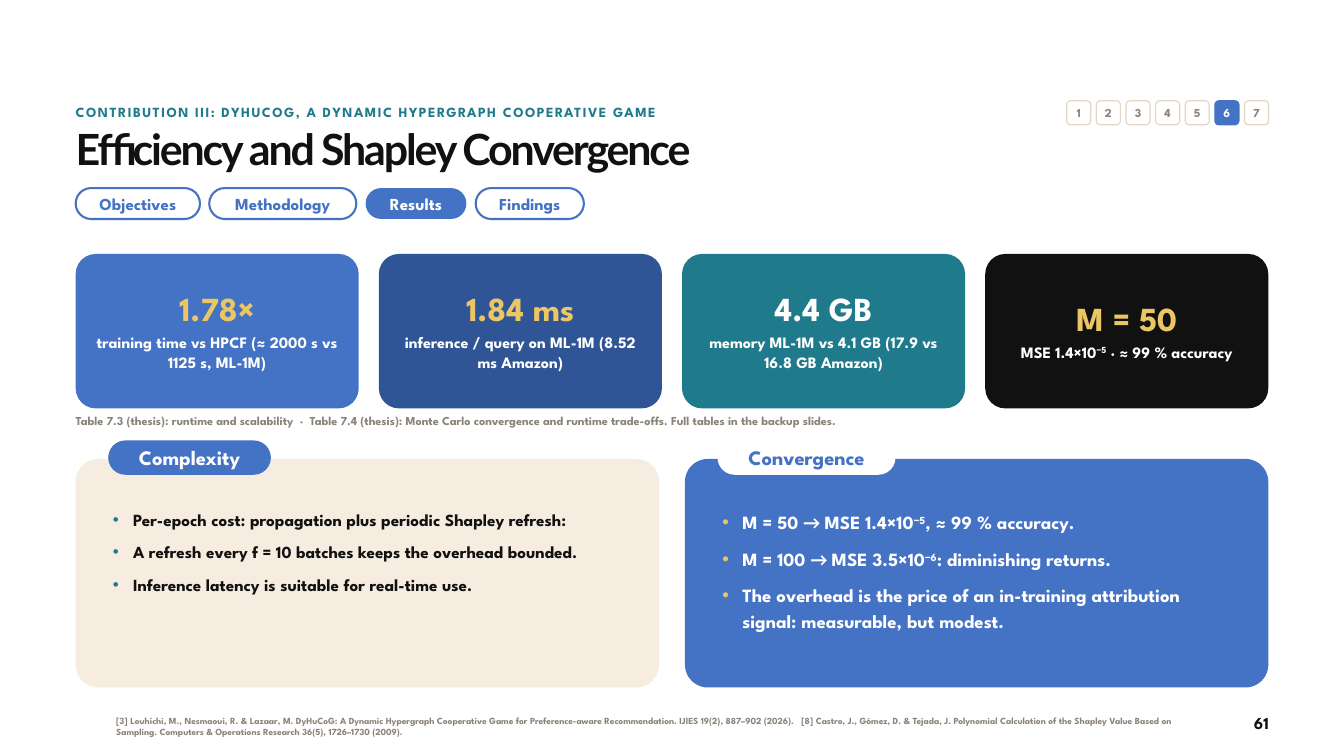
import pptx
import pptx.dml.color
import pptx.enum.shapes
import pptx.enum.text
import pptx.oxml.ns
import pptx.util
from lxml import etree
from pptx.util import Cm

FONT = "League Spartan"
BLUE, NAVY, TEAL, GOLD = "4472C4", "2F5597", "1F7A8C", "ECC665"
BLACK, WHITE, GREY, SAND, CREAM = "111111", "FFFFFF", "8A8378", "E3D6C4", "F6ECDF"

LEFT, CONTENT_WIDTH = 2.86, 45.08
PANEL_WIDTH, PANEL_TOP = 22.05, 17.35

ALIGN = pptx.enum.text.PP_ALIGN
ANCHOR = pptx.enum.text.MSO_ANCHOR

STEPS = 7
CURRENT_STEP = 6
TABS = [("Objectives", 4.7), ("Methodology", 5.56), ("Results", 3.81), ("Findings", 4.09)]
CURRENT_TAB = "Results"

CARDS = [
    (BLUE, GOLD, "1.78×", ["training time vs HPCF (≈ 2000 s vs 1125 s, ML-1M)"]),
    (NAVY, GOLD, "1.84 ms", ["inference / query on ML-1M (8.52 ms Amazon)"]),
    (TEAL, WHITE, "4.4 GB", ["memory ML-1M vs 4.1 GB (17.9 vs 16.8 GB Amazon)"]),
    (BLACK, GOLD, "M = 50", ["MSE 1.4×10", ("−5", "superscript"), " · ≈ 99 % accuracy"]),
]

COMPLEXITY = [
    (25.5, ["Per-epoch cost: propagation plus periodic Shapley refresh:"]),
    (25.5, ["A refresh every f = 10 batches keeps the overhead bounded."]),
    (25.5, ["Inference latency is suitable for real-time use."]),
]
CONVERGENCE = [
    (29.6, ["M = 50 ", ("→ ", "arrow"), "MSE 1.4×10", ("−5", "superscript"), ", ≈ 99 % accuracy."]),
    (29.6, ["M = 100 ", ("→ ", "arrow"), "MSE 3.5×10", ("−6", "superscript"), ": diminishing returns."]),
    (28, ["The overhead is the price of an in-training attribution signal: measurable, but modest."]),
]

CAPTION = (
    "Table 7.3 (thesis): runtime and scalability  ·  Table 7.4 (thesis): Monte Carlo "
    "convergence and runtime trade-offs. Full tables in the backup slides."
)
REFERENCES = (
    "[3] Louhichi, M., Nesmaoui, R. & Lazaar, M. DyHuCoG: A Dynamic Hypergraph Cooperative "
    "Game for Preference-aware Recommendation. IJIES 19(2), 887–902 (2026).   [8] Castro, J., "
    "Gómez, D. & Tejada, J. Polynomial Calculation of the Shapley Value Based on Sampling. "
    "Computers & Operations Research 36(5), 1726–1730 (2009)."
)


def color(value):
    return pptx.dml.color.RGBColor.from_string(value)


def add_runs(paragraph, pieces, size, ink, font=FONT, tracking=0):
    for piece in pieces:
        text, style = (piece, "") if isinstance(piece, str) else piece
        run = paragraph.add_run()
        run.text = text
        run.font.name = "Calibri" if style == "arrow" else font
        run.font.size = pptx.util.Pt(size)
        run.font.bold = True
        run.font.color.rgb = color(ink)
        properties = run.font._element
        if style == "superscript":
            properties.set("baseline", "30000")
        if tracking:
            properties.set("spc", str(round(tracking * 100)))


def format_paragraph(paragraph, leading, align=ALIGN.LEFT, before=0):
    paragraph.alignment = align
    paragraph.line_spacing = pptx.util.Pt(leading)
    paragraph.space_before = pptx.util.Pt(before)


def format_frame(frame, anchor=ANCHOR.TOP, side=0, edge=0):
    frame.word_wrap = True
    frame.auto_size = pptx.enum.text.MSO_AUTO_SIZE.NONE
    frame.vertical_anchor = anchor
    frame.margin_left = frame.margin_right = Cm(side)
    frame.margin_top = frame.margin_bottom = Cm(edge)


def place(shape, left, top, width, height):
    shape.left, shape.top = Cm(left), Cm(top)
    shape.width, shape.height = Cm(width), Cm(height)


def add_label(slide, box, text, size, leading, ink, align=ALIGN.LEFT, anchor=ANCHOR.TOP, tracking=0):
    frame = slide.shapes.add_textbox(*map(Cm, box)).text_frame
    format_frame(frame, anchor)
    format_paragraph(frame.paragraphs[0], leading, align)
    add_runs(frame.paragraphs[0], [text], size, ink, tracking=tracking)


def add_rounded(slide, box, rounding, fill=None, line=None, line_width=2.25):
    kind = pptx.enum.shapes.MSO_SHAPE.ROUNDED_RECTANGLE
    shape = slide.shapes.add_shape(kind, *map(Cm, box))
    shape.shadow.inherit = False
    shape.adjustments[0] = rounding
    if fill:
        shape.fill.solid()
        shape.fill.fore_color.rgb = color(fill)
    else:
        shape.fill.background()
    if line:
        shape.line.color.rgb = color(line)
        shape.line.width = pptx.util.Pt(line_width)
    else:
        shape.line.fill.background()
    return shape


def add_caption(shape, text, size, leading, ink, side=0.13):
    format_frame(shape.text_frame, ANCHOR.MIDDLE, side)
    paragraph = shape.text_frame.paragraphs[0]
    format_paragraph(paragraph, leading, ALIGN.CENTER)
    add_runs(paragraph, [text], size, ink)


def add_title(slide, text):
    title = slide.shapes.title
    place(title, LEFT, 4.78, CONTENT_WIDTH, 2.03)
    format_frame(title.text_frame)
    paragraph = title.text_frame.paragraphs[0]
    format_paragraph(paragraph, 50.6)
    add_runs(paragraph, [text], 46, BLACK, font="Lato", tracking=-2.3)


def add_step_chips(slide):
    for step in range(1, STEPS + 1):
        fill, line, ink = (BLUE, BLUE, WHITE) if step == CURRENT_STEP else (WHITE, SAND, GREY)
        box = (40.32 + (step - 1) * 1.12, 3.81, 0.91, 0.91)
        chip = add_rounded(slide, box, 0.17, fill, line, 1.25)
        add_caption(chip, str(step), 13, 15, ink, side=0)


def add_tabs(slide):
    left = LEFT
    for text, width in TABS:
        fill, line, ink = (BLUE, None, WHITE) if text == CURRENT_TAB else (None, BLUE, BLUE)
        tab = add_rounded(slide, (left, 7.11, width, 1.17), 0.5, fill, line)
        add_caption(tab, text, 18, 21.6, ink)
        left += width + 0.35


def add_cards(slide):
    for index, (fill, accent, figure, pieces) in enumerate(CARDS):
        card = add_rounded(slide, (LEFT + index * 11.46, 9.6, 10.7, 5.84), 0.13, fill)
        frame = card.text_frame
        format_frame(frame, ANCHOR.MIDDLE, 0.38, 0.25)
        format_paragraph(frame.paragraphs[0], 39.6, ALIGN.CENTER)
        add_runs(frame.paragraphs[0], [figure], 36, accent)
        detail = frame.add_paragraph()
        format_paragraph(detail, 21.2, ALIGN.CENTER, 4)
        add_runs(detail, pieces, 17, WHITE)


def add_bullet(paragraph, ink):
    properties = paragraph._p.get_or_add_pPr()
    properties.set("marL", str(Cm(0.76)))
    properties.set("indent", str(-Cm(0.76)))
    bullet_color = etree.SubElement(properties, pptx.oxml.ns.qn("a:buClr"))
    etree.SubElement(bullet_color, pptx.oxml.ns.qn("a:srgbClr")).set("val", ink)
    etree.SubElement(properties, pptx.oxml.ns.qn("a:buChar")).set("char", "•")


def add_panel(slide, body, left, heading, badge_width, items, size, fill, badge, heading_ink, ink, bullet):
    add_rounded(slide, (left, PANEL_TOP, PANEL_WIDTH, 8.64), 0.1, fill)
    tag = add_rounded(slide, (left + 1.27, 16.69, badge_width, 1.22), 0.5, badge, badge)
    add_caption(tag, heading, 22, 26.4, heading_ink)
    slide.shapes.element.append(body.element)
    place(body, left + 1.41, 19.13, 19.35, 6.1)
    frame = body.text_frame
    format_frame(frame)
    for index, (leading, pieces) in enumerate(items):
        paragraph = frame.add_paragraph() if index else frame.paragraphs[0]
        add_bullet(paragraph, bullet)
        format_paragraph(paragraph, leading, before=size / 2 if index else 0)
        add_runs(paragraph, pieces, size, ink)


def main():
    presentation = pptx.Presentation()
    presentation.slide_width, presentation.slide_height = Cm(50.8), Cm(28.58)
    slide = presentation.slides.add_slide(presentation.slide_layouts.get_by_name("Two Content"))
    title, left_body, right_body = slide.placeholders
    add_label(slide, (4.39, 26.67, 40.26, 1.57), REFERENCES, 10, 12, GREY, anchor=ANCHOR.MIDDLE)
    add_label(slide, (44.91, 26.92, 3.05, 0.91), "61", 18, 22, BLACK, ALIGN.RIGHT)
    add_label(slide, (LEFT, 3.86, 35.94, 0.91),
              "CONTRIBUTION III: DYHUCOG, A DYNAMIC HYPERGRAPH COOPERATIVE GAME",
              15, 20, TEAL, tracking=1.6)
    add_step_chips(slide)
    add_title(slide, "Efficiency and Shapley Convergence")
    add_tabs(slide)
    add_cards(slide)
    add_label(slide, (LEFT, 15.57, CONTENT_WIDTH, 1.14), CAPTION, 13, 17, GREY)
    add_panel(slide, left_body, LEFT, "Complexity", 6.07, COMPLEXITY, 18.2,
              CREAM, BLUE, WHITE, BLACK, TEAL)
    add_panel(slide, right_body, LEFT + CONTENT_WIDTH - PANEL_WIDTH, "Convergence", 6.65,
              CONVERGENCE, 20, BLUE, WHITE, BLUE, WHITE, GOLD)
    presentation.save("out.pptx")


if __name__ == "__main__":
    main()
